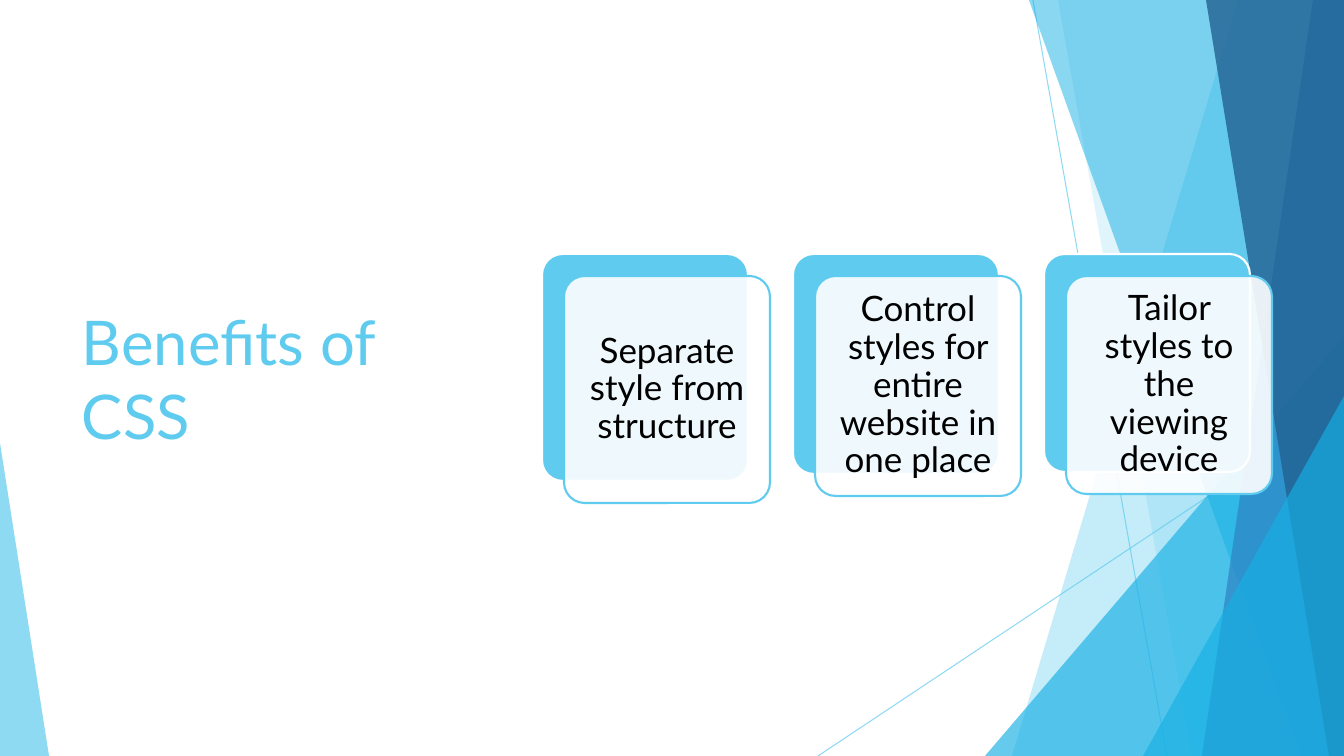
import lxml.etree
import pptx
import pptx.dml.color
import pptx.enum.shapes
import pptx.enum.text
import pptx.oxml.ns
import pptx.util

SLIDE_W, SLIDE_H = 1344, 756
EMU_PER_PX = 12192000 / SLIDE_W
FONT = "Lato"
COLORS = {
    "sky": "5FCBEF",
    "cyan": "17B0E4",
    "blue": "2E83C3",
    "navy": "226292",
    "white": "FFFFFF",
    "black": "000000",
}
SHAPES = pptx.enum.shapes.MSO_SHAPE
qn = pptx.oxml.ns.qn


def px(length):
    return pptx.util.Emu(round(length * EMU_PER_PX))


def rgb(color):
    return pptx.dml.color.RGBColor.from_string(COLORS[color])


def set_opacity(holder, opacity):
    """Make the solid fill inside an XML element translucent."""
    color = holder.find(qn("a:solidFill"))[0]
    lxml.etree.SubElement(color, qn("a:alpha"), val=str(opacity * 1000))


def style_shape(shape, color, opacity=100, outline=None):
    shape.shadow.inherit = False
    shape.fill.solid()
    shape.fill.fore_color.rgb = rgb(color)
    if opacity < 100:
        set_opacity(shape.element.spPr, opacity)
    if outline:
        shape.line.color.rgb = rgb(outline)
        shape.line.width = pptx.util.Pt(1.5)
    else:
        shape.line.fill.background()


def add_preset(slide, kind, box, adjustment):
    shape = slide.shapes.add_shape(kind, *map(px, box))
    shape.adjustments[0] = adjustment
    return shape


def write(frame, text, size, color):
    frame.word_wrap = True
    frame.vertical_anchor = pptx.enum.text.MSO_ANCHOR.MIDDLE
    paragraph = frame.paragraphs[0]
    run = paragraph.add_run()
    run.text = text
    run.font.name = FONT
    run.font.size = pptx.util.Pt(size)
    run.font.color.rgb = rgb(color)
    return paragraph


def add_ray(slide, start, end):
    ray = slide.shapes.add_connector(
        pptx.enum.shapes.MSO_CONNECTOR.STRAIGHT, *map(px, start + end))
    ray.line.width = pptx.util.Pt(0.75)
    ray.line.color.rgb = rgb("sky")
    properties = ray.element.spPr
    set_opacity(properties.find(qn("a:ln")), 70)
    lxml.etree.SubElement(properties, qn("a:effectLst"))


def add_band(slide, box, top_x, bottom_x, color, opacity):
    """Band from a slanted left edge to the right side of the box."""
    left, top, width, height = box
    right, bottom = left + width, top + height
    corners = [(right, top), (right, bottom), (left + bottom_x, bottom)]
    builder = slide.shapes.build_freeform(px(left + top_x), px(top))
    builder.add_line_segments([(px(x), px(y)) for x, y in corners], close=True)
    style_shape(builder.convert_to_shape(), color, opacity)


def add_corner(slide, box, apex, color, opacity):
    style_shape(add_preset(slide, SHAPES.ISOSCELES_TRIANGLE, box, apex), color, opacity)


def add_facets(slide, box):
    """Translucent shards along the right side of the slide."""
    left, top, width, height = box
    right, bottom = left + width, top + height
    add_ray(slide, (left + 215, top), (left + 349, bottom))
    add_ray(slide, (right, top + 406), (left, bottom))
    add_band(slide, box, 420, 194, "sky", 36)
    add_band(slide, box, 240, 374, "sky", 20)
    add_corner(slide, (right - 359, bottom - 420, 359, 420), 1, "cyan", 66)
    add_band(slide, box, 211, 483, "cyan", 50)
    add_band(slide, box, 495, 384, "blue", 70)
    add_band(slide, box, 388, 511, "navy", 80)
    add_corner(slide, (right - 201, bottom - 360, 201, 360), 1, "cyan", 66)


def add_title(slide, box, text):
    title = slide.shapes.add_textbox(*map(px, box))
    write(title.text_frame, text, 44, "sky")


def add_card(slide, box, text):
    """Blue plate with a captioned white panel in front, shifted down and right."""
    left, top, width, height = box
    shift = 22
    plate = add_preset(slide, SHAPES.ROUNDED_RECTANGLE, box, 0.1)
    style_shape(plate, "sky", outline="white")
    panel = add_preset(slide, SHAPES.ROUNDED_RECTANGLE,
                       (left + shift, top + shift, width, height), 0.1)
    style_shape(panel, "white", 90, "sky")
    frame = panel.text_frame
    frame.margin_left = frame.margin_right = px(10)
    frame.margin_top = frame.margin_bottom = px(10)
    caption = write(frame, text, 25, "black")
    caption.alignment = pptx.enum.text.PP_ALIGN.CENTER
    caption.line_spacing = 0.9


def add_benefits(slide, box, pitch, benefits):
    """Row of cards; the box is left, top and card width."""
    left, top, width = box
    for index, (text, height) in enumerate(benefits):
        add_card(slide, (left + index * pitch, top, width, height), text)


def main():
    deck = pptx.Presentation()
    deck.slide_width, deck.slide_height = px(SLIDE_W), px(SLIDE_H)
    slide = deck.slides.add_slide(deck.slide_layouts[6])
    add_facets(slide, (818, 0, SLIDE_W - 818, SLIDE_H))
    add_corner(slide, (0, 443, 49, SLIDE_H - 443), 0, "sky", 70)
    add_title(slide, (72, 152, 391, 452), "Benefits of CSS")
    add_benefits(slide, (542, 254, 206), 251, [
        ("Separate style from structure", 227),
        ("Control styles for entire website in one place", 220),
        ("Tailor styles to the viewing device", 218),
    ])
    deck.save("out.pptx")


if __name__ == "__main__":
    main()
